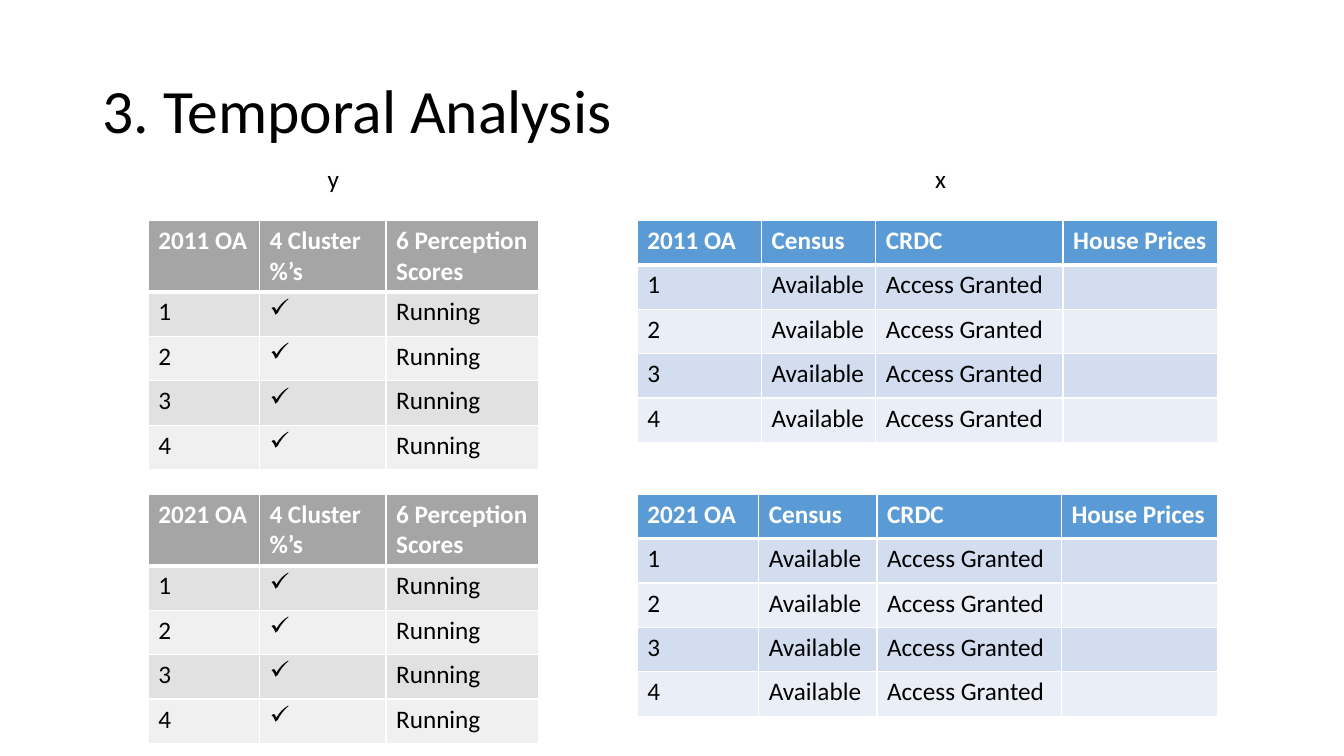
from dataclasses import dataclass

from lxml import etree
from pptx import Presentation
from pptx.dml.color import RGBColor
from pptx.enum import text
from pptx.oxml import ns
from pptx.util import Cm, Pt


@dataclass(frozen=True)
class Theme:
    font: str = "Calibri"
    title_size: int = 44
    body_size: int = 18
    ink: str = "000000"
    paper: str = "FFFFFF"
    thin_rule: int = 1
    header_rule: int = 3


@dataclass(frozen=True)
class Palette:
    header: str
    odd_row: str
    even_row: str


@dataclass(frozen=True)
class DataTable:
    left: float
    top: float
    height: float
    columns: tuple[float, ...]
    headings: tuple[str, ...]
    values: tuple[str, ...]
    palette: Palette


@dataclass(frozen=True)
class Label:
    wording: str
    left: float


THEME = Theme()
GREY = Palette("A5A5A5", "E1E1E1", "F0F0F0")
BLUE = Palette("5B9BD5", "D2DEEF", "EAEFF7")
AREAS = ("1", "2", "3", "4")
TICK = "✓"
ROW_HEIGHT = 1.12
TOP_2011, TOP_2021 = 5.55, 12.45
COLUMNS_2011 = (3.13, 2.88, 4.72, 3.9)
COLUMNS_2021 = (3.06, 2.98, 4.65, 3.94)


def outcome_table(year: str, top: float) -> DataTable:
    return DataTable(3.74, top, 6.25, (2.8, 3.19, 3.84),
                     (f"{year} OA", "4 Cluster %’s", "6 Perception Scores"),
                     (TICK, "Running"), GREY)


def predictor_table(year: str, top: float, columns: tuple[float, ...]) -> DataTable:
    return DataTable(16.06, top, 5.6, columns,
                     (f"{year} OA", "Census", "CRDC", "House Prices"),
                     ("Available", "Access Granted", ""), BLUE)


TABLES = (
    outcome_table("2011", TOP_2011),
    outcome_table("2021", TOP_2021),
    predictor_table("2011", TOP_2011, COLUMNS_2011),
    predictor_table("2021", TOP_2021, COLUMNS_2021),
)
LABELS = (Label("y", 8.01), Label("x", 23.32))


def style_font(paragraph, size: int, color: str, bold: bool = False) -> None:
    font = paragraph.font
    font.name, font.size, font.bold = THEME.font, Pt(size), bold
    font.color.rgb = RGBColor.from_string(color)


def add_tick_bullet(paragraph) -> None:
    """Mark the paragraph with a Wingdings tick, which is the letter ü in that font."""
    properties = paragraph._p.get_or_add_pPr()
    indent = Cm(0.79)
    properties.set("marL", str(indent))
    properties.set("indent", str(-indent))
    etree.SubElement(properties, ns.qn("a:buFont"), typeface="Wingdings", charset="2")
    etree.SubElement(properties, ns.qn("a:buChar"), char="ü")


def set_borders(cell, row: int) -> None:
    """Rule all four sides, with a heavier line between header and body."""
    heavy_side = {0: "lnB", 1: "lnT"}.get(row)
    properties = cell._tc.get_or_add_tcPr()
    for side in ("lnL", "lnR", "lnT", "lnB"):
        width = THEME.header_rule if side == heavy_side else THEME.thin_rule
        line = etree.SubElement(properties, ns.qn(f"a:{side}"), w=str(Pt(width)))
        fill = etree.SubElement(line, ns.qn("a:solidFill"))
        etree.SubElement(fill, ns.qn("a:srgbClr"), val=THEME.paper)


def fill_cell(cell, wording: str, row: int, fill: str) -> None:
    is_header = row == 0
    paragraph = cell.text_frame.paragraphs[0]
    if wording == TICK:
        add_tick_bullet(paragraph)
        paragraph.text = " "  # a bullet is drawn only beside a run
    else:
        paragraph.text = wording
    style_font(paragraph, THEME.body_size, THEME.paper if is_header else THEME.ink, is_header)
    set_borders(cell, row)
    cell.fill.solid()
    cell.fill.fore_color.rgb = RGBColor.from_string(fill)


def add_data_table(slide, data: DataTable) -> None:
    rows = [data.headings] + [(area, *data.values) for area in AREAS]
    frame = slide.shapes.add_table(
        len(rows), len(data.columns), Cm(data.left), Cm(data.top),
        Cm(sum(data.columns)), Cm(ROW_HEIGHT * len(rows)))
    table = frame.table
    for column, width in zip(table.columns, data.columns):
        column.width = Cm(width)
    frame.height = Cm(data.height)
    fills = (data.palette.header,) + (data.palette.odd_row, data.palette.even_row) * 2
    for row, (entries, fill) in enumerate(zip(rows, fills)):
        for column, wording in enumerate(entries):
            fill_cell(table.cell(row, column), wording, row, fill)


def add_label(slide, label: Label) -> None:
    box = slide.shapes.add_textbox(Cm(label.left), Cm(4), Cm(1.3), Cm(1.03))
    frame = box.text_frame
    frame.word_wrap = True
    frame.auto_size = text.MSO_AUTO_SIZE.SHAPE_TO_FIT_TEXT
    frame.text = label.wording
    style_font(frame.paragraphs[0], THEME.body_size, THEME.ink)


def set_title(slide, wording: str) -> None:
    title = slide.shapes.title
    title.left, title.top, title.width, title.height = Cm(2.33), Cm(1.01), Cm(29.21), Cm(3.68)
    frame = title.text_frame
    frame.text = wording
    frame.vertical_anchor = text.MSO_ANCHOR.MIDDLE
    paragraph = frame.paragraphs[0]
    paragraph.alignment = text.PP_ALIGN.LEFT
    paragraph.line_spacing = 0.9
    style_font(paragraph, THEME.title_size, THEME.ink)


def main() -> None:
    presentation = Presentation()
    presentation.slide_width, presentation.slide_height = Cm(33.87), Cm(19.05)
    slide = presentation.slides.add_slide(presentation.slide_layouts.get_by_name("Title Only"))
    set_title(slide, "3. Temporal Analysis")
    for data in TABLES:
        add_data_table(slide, data)
    for label in LABELS:
        add_label(slide, label)
    presentation.save("out.pptx")


if __name__ == "__main__":
    main()
